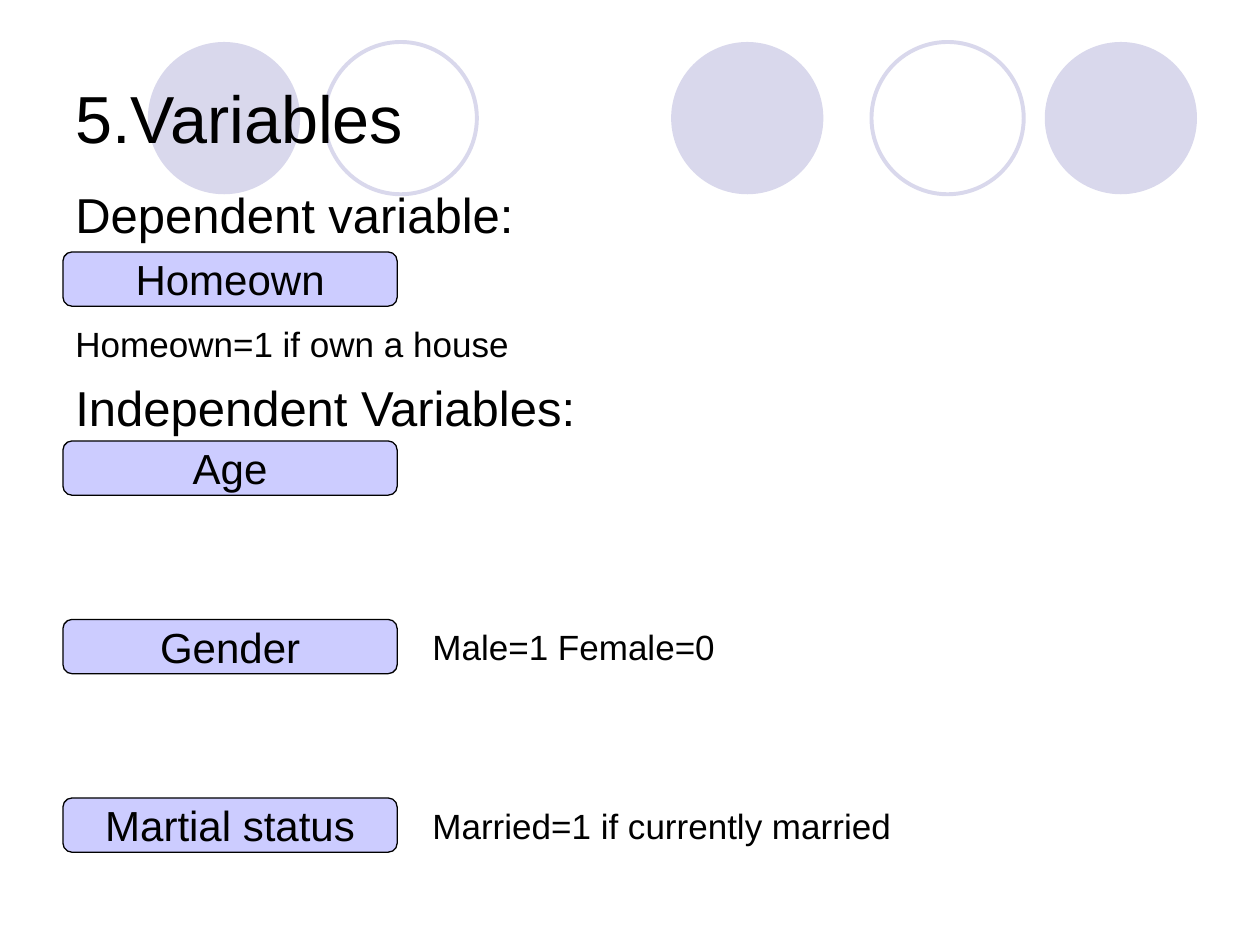
from pptx import Presentation
from pptx.dml.color import RGBColor
from pptx.enum.shapes import MSO_SHAPE as Shape
from pptx.enum.text import MSO_ANCHOR as Anchor, PP_ALIGN as Align
from pptx.util import Pt

# Content
TITLE = "5.Variables"
# text, size, space before
BODY = [
    ("Dependent variable:", 28, 0),
    ("Homeown=1 if own a house", 20, 45),
    ("Independent Variables:", 28, 7.5),
]
# name, top, note, note width
VARIABLES = [
    ("Homeown", 144, None, 0),
    ("Age", 252, None, 0),
    ("Gender", 354, "Male=1 Female=0", 288),
    ("Martial status", 456, "Married=1 if currently married", 360),
]
# left, filled
CIRCLES = [(84.5, True), (185.5, False), (383.5, True), (498, False), (597, True)]

FONT = "Arial"
INK, LAVENDER, PALE = "000000", "CCCCFF", "D9D8EC"
MARGIN, NOTE_LEFT = 36, 240
CIRCLE_TOP, CIRCLE_SIZE = 24, 87


def color(value):
    return RGBColor.from_string(value)


def write(para, text, size):
    para.text = text
    para.font.name = FONT
    para.font.size = Pt(size)
    para.font.color.rgb = color(INK)


def add_shape(kind, left, top, width, height, fill, line, line_width):
    shape = page.shapes.add_shape(kind, Pt(left), Pt(top), Pt(width), Pt(height))
    shape.shadow.inherit = False
    if fill:
        shape.fill.solid()
        shape.fill.fore_color.rgb = color(fill)
    else:
        shape.fill.background()
    if line:
        shape.line.color.rgb = color(line)
        shape.line.width = Pt(line_width)
    else:
        shape.line.fill.background()
    return shape


def add_text(lines, left, top, width, height, anchor=Anchor.TOP):
    box = page.shapes.add_textbox(Pt(left), Pt(top), Pt(width), Pt(height))
    frame = box.text_frame
    frame.word_wrap = True
    frame.vertical_anchor = anchor
    for index, (text, size, before) in enumerate(lines):
        para = frame.add_paragraph() if index else frame.paragraphs[0]
        write(para, text, size)
        if before:
            para.space_before = Pt(before)


deck = Presentation()
deck.slide_width, deck.slide_height = Pt(720), Pt(540)
page = deck.slides.add_slide(deck.slide_layouts[6])

# Row of background circles
for left, filled in CIRCLES:
    add_shape(Shape.OVAL, left, CIRCLE_TOP, CIRCLE_SIZE, CIRCLE_SIZE,
              PALE if filled else None, None if filled else PALE, 2.25)

# Title and headings
add_text([(TITLE, 38, 0)], MARGIN, 21.6, 648, 90, Anchor.MIDDLE)
add_text(BODY, MARGIN, 102, 648, 372)

# Variable labels with their notes
for name, top, note, note_width in VARIABLES:
    label = add_shape(Shape.ROUNDED_RECTANGLE, MARGIN, top, 191, 31,
                      LAVENDER, INK, 0.75)
    frame = label.text_frame
    frame.margin_left = frame.margin_right = 0
    frame.margin_top = frame.margin_bottom = 0
    frame.word_wrap = False
    frame.vertical_anchor = Anchor.MIDDLE
    write(frame.paragraphs[0], name, 24)
    frame.paragraphs[0].alignment = Align.CENTER
    if note:
        add_text([(note, 20, 0)], NOTE_LEFT, top, note_width, 31.5)

deck.save("out.pptx")
